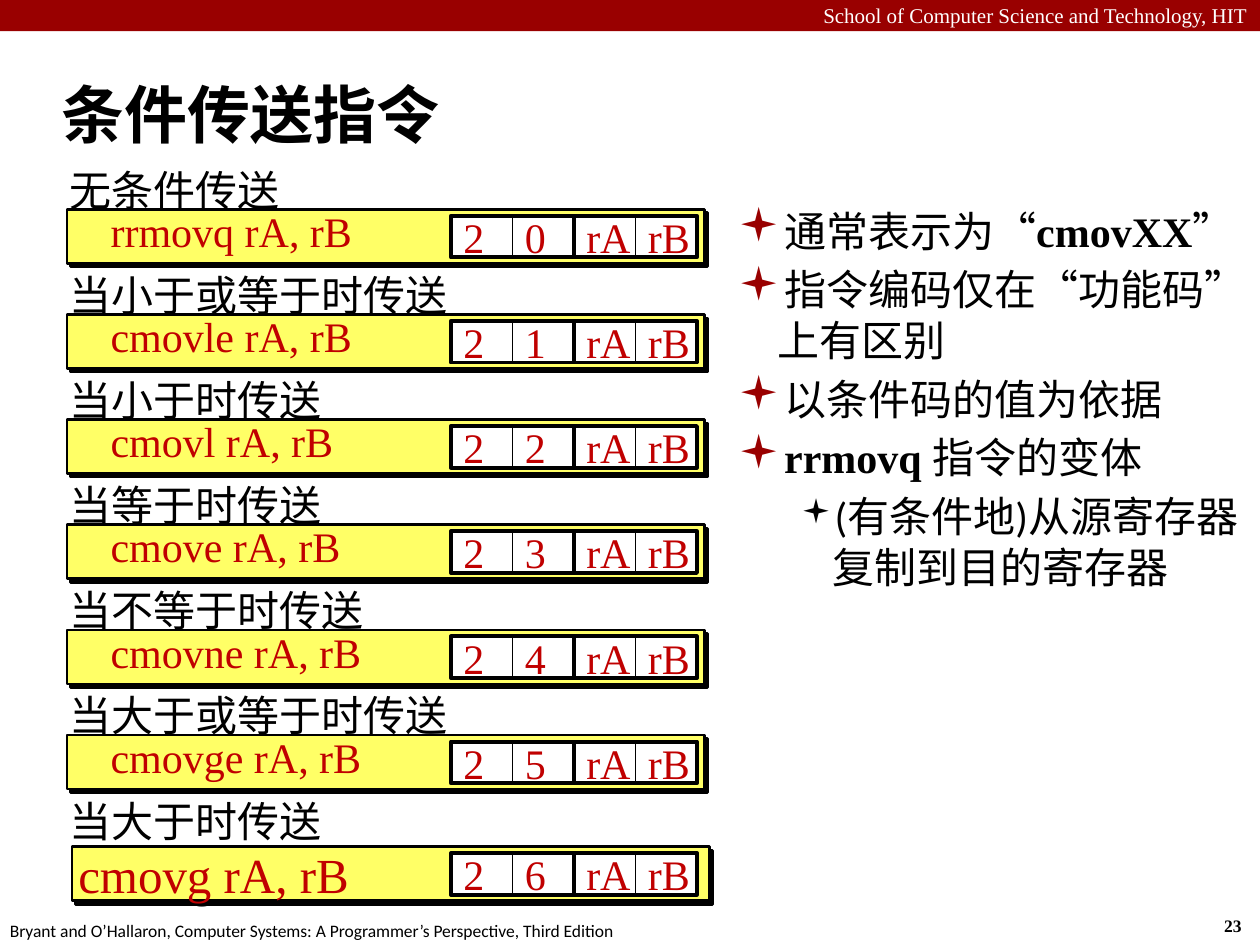
"""Builds the slide on conditional move instructions."""
from lxml import etree
from pptx import Presentation
from pptx.dml.color import RGBColor
from pptx.enum.shapes import MSO_SHAPE
from pptx.enum.text import MSO_ANCHOR, MSO_AUTO_SIZE, PP_ALIGN
from pptx.oxml.ns import qn
from pptx.util import Cm, Pt

RECTANGLE = MSO_SHAPE.RECTANGLE
TOP, MIDDLE = MSO_ANCHOR.TOP, MSO_ANCHOR.MIDDLE
LEFT, RIGHT = PP_ALIGN.LEFT, PP_ALIGN.RIGHT
SERIF, SANS = "Times New Roman", "Calibri"
BLACK, WHITE, RED, DARK_RED, YELLOW = "000000", "FFFFFF", "C00000", "990000", "FFFF66"
ROW_PITCH = 2.12
MOVES = [
    ("无条件传送", "rrmovq"),
    ("当小于或等于时传送", "cmovle"),
    ("当小于时传送", "cmovl"),
    ("当等于时传送", "cmove"),
    ("当不等于时传送", "cmovne"),
    ("当大于或等于时传送", "cmovge"),
    ("当大于时传送", "cmovg"),
]
NOTES = [
    (1, [("通常表示为“", False), ("cmovXX", True), ("”", False)]),
    (1, [("指令编码仅在“功能码” 上有区别", False)]),
    (1, [("以条件码的值为依据", False)]),
    (1, [("rrmovq ", True), ("指令的变体", False)]),
    (2, [("(有条件地)从源寄存器复制到目的寄存器", False)]),
]
LEVELS = {1: (2.06, -0.79, 110, DARK_RED), 2: (3.18, -0.64, 80, BLACK)}


def color(value):
    """Return the colour for a hex string."""
    return RGBColor.from_string(value)


def style(font, size, name, fill=BLACK, bold=False):
    """Set size, face, colour and weight of a font."""
    font.size, font.name, font.bold = Pt(size), name, bold
    font.color.rgb = color(fill)


def write(shape, text, size, name, fill=BLACK, bold=False, anchor=TOP,
          align=LEFT, wrap=False, insets=(0.25, 0.13)):
    """Put one formatted paragraph into a shape."""
    frame = shape.text_frame
    frame.word_wrap, frame.auto_size = wrap, MSO_AUTO_SIZE.NONE
    frame.vertical_anchor = anchor
    frame.margin_left = frame.margin_right = Cm(insets[0])
    frame.margin_top = frame.margin_bottom = Cm(insets[1])
    frame.text = text
    para = frame.paragraphs[0]
    para.alignment = align
    style(para.font, size, name, fill, bold)


def add_text(parent, left, top, width, height, *content, **options):
    """Add a text box with one paragraph."""
    box = parent.shapes.add_textbox(Cm(left), Cm(top), Cm(width), Cm(height))
    write(box, *content, **options)


def add_rectangle(parent, left, top, width, height, fill=None, line=None):
    """Add a rectangle with an optional fill and black outline."""
    box = parent.shapes.add_shape(RECTANGLE, Cm(left), Cm(top), Cm(width), Cm(height))
    box.shadow.inherit = False
    if fill:
        box.fill.solid()
        box.fill.fore_color.rgb = color(fill)
    else:
        box.fill.background()
    if line:
        box.line.color.rgb = color(BLACK)
        box.line.width = Pt(line)
    else:
        box.line.fill.background()
    return box


def add_hard_shadow(shape):
    """Give a shape a sharp black shadow to the lower right."""
    effects = shape._element.spPr.find(qn("a:effectLst"))
    shadow = etree.SubElement(effects, qn("a:outerShdw"), dist=str(Pt(2.8)),
                              dir="2700000", algn="ctr", rotWithShape="0")
    etree.SubElement(shadow, qn("a:srgbClr"), val=BLACK)


def add_encoding(parent, left, top, values, width=1.24, height=0.84):
    """Draw the code bytes, each two half-byte cells in a thick frame."""
    for index, value in enumerate(values):
        cell = add_rectangle(parent, left + index * width, top, width, height, WHITE, 0.5)
        write(cell, value, 24, SERIF, RED, anchor=MIDDLE)
        if index % 2:
            add_rectangle(parent, left + (index - 1) * width, top, 2 * width, height, line=2.25)


def add_move(page, left, top, index, label, name):
    """Draw one instruction: label, yellow bar, command and encoding."""
    group = page.shapes.add_group_shape()
    last = index == len(MOVES) - 1
    bar_left, bar_top = (left + 0.18, top + 1.17) if last else (left + 0.08, top + 1.04)
    bar = add_rectangle(group, bar_left, bar_top, 12.85, 1.09, YELLOW, 1.5)
    add_hard_shadow(bar)
    command = f"{name} rA, rB"
    if last:
        write(bar, command, 28, SERIF, RED, anchor=MIDDLE, wrap=True, insets=(0.13, 0.13))
    else:
        add_text(group, left + 0.71, bar_top + 0.01, 3.1, 0.84, command, 24, SERIF, RED,
                 anchor=MIDDLE)
    add_text(group, left, top, 0.25 + 0.855 * len(label), 1.27, label, 24, SERIF,
             insets=(0.13, 0.13))
    add_encoding(group, left + 7.82, bar_top + 0.13, ["2", str(index), "rA", "rB"])


def add_bullet(para, level):
    """Set the indent and square bullet of a level."""
    margin, indent, size, fill = LEVELS[level]
    props = para._p.get_or_add_pPr()
    props.set("marL", str(Cm(margin)))
    props.set("indent", str(Cm(indent)))
    paint = etree.SubElement(props, qn("a:buClr"))
    etree.SubElement(paint, qn("a:srgbClr"), val=fill)
    etree.SubElement(props, qn("a:buSzPct"), val=str(size * 1000))
    etree.SubElement(props, qn("a:buFont"), typeface="Wingdings")
    etree.SubElement(props, qn("a:buChar"), char="▪")


def add_notes_list(page, left, top, width, height):
    """Write the bulleted remarks on the right."""
    box = page.shapes.add_textbox(Cm(left), Cm(top), Cm(width), Cm(height))
    frame = box.text_frame
    frame.word_wrap = True
    for index, (level, spans) in enumerate(NOTES):
        para = frame.add_paragraph() if index else frame.paragraphs[0]
        para.level = level
        para.space_before = Pt(4.8)
        add_bullet(para, level)
        for text, code in spans:
            span = para.add_run()
            span.text = text
            style(span.font, 24, SERIF if code else SANS, bold=code)


def add_frame(page, width, height):
    """Draw the header band, the footer and the page number."""
    add_rectangle(page, 0, 0, width, 0.63, DARK_RED)
    add_text(page, 0, -0.08, width, 0.76, "School of Computer Science and Technology, HIT",
             12, SERIF, WHITE, align=RIGHT, wrap=True)
    add_text(page, -0.05, height - 0.63, 12.9, 0.69,
             "Bryant and O’Hallaron, Computer Systems: A Programmer’s Perspective, Third Edition",
             10, SANS)
    add_text(page, width - 0.97, height - 0.74, 0.94, 0.69, "23", 10, SERIF, bold=True)


def add_title(page, left, top, width, height):
    """Place and format the title."""
    title = page.shapes.title
    title.left, title.top, title.width, title.height = Cm(left), Cm(top), Cm(width), Cm(height)
    write(title, "条件传送指令", 36, SANS, bold=True, anchor=MIDDLE, wrap=True)


def main():
    """Build and save the deck."""
    deck = Presentation()
    deck.slide_width, deck.slide_height = Cm(25.4), Cm(19.05)
    page = deck.slides.add_slide(deck.slide_layouts[5])
    add_frame(page, 25.4, 19.05)
    add_title(page, 0.99, 1.22, 24.41, 2.11)
    add_notes_list(page, 13.36, 4.01, 12.04, 14.5)
    for index, (label, name) in enumerate(MOVES):
        add_move(page, 1.27, 3.18 + index * ROW_PITCH, index, label, name)
    deck.save("out.pptx")


main()
